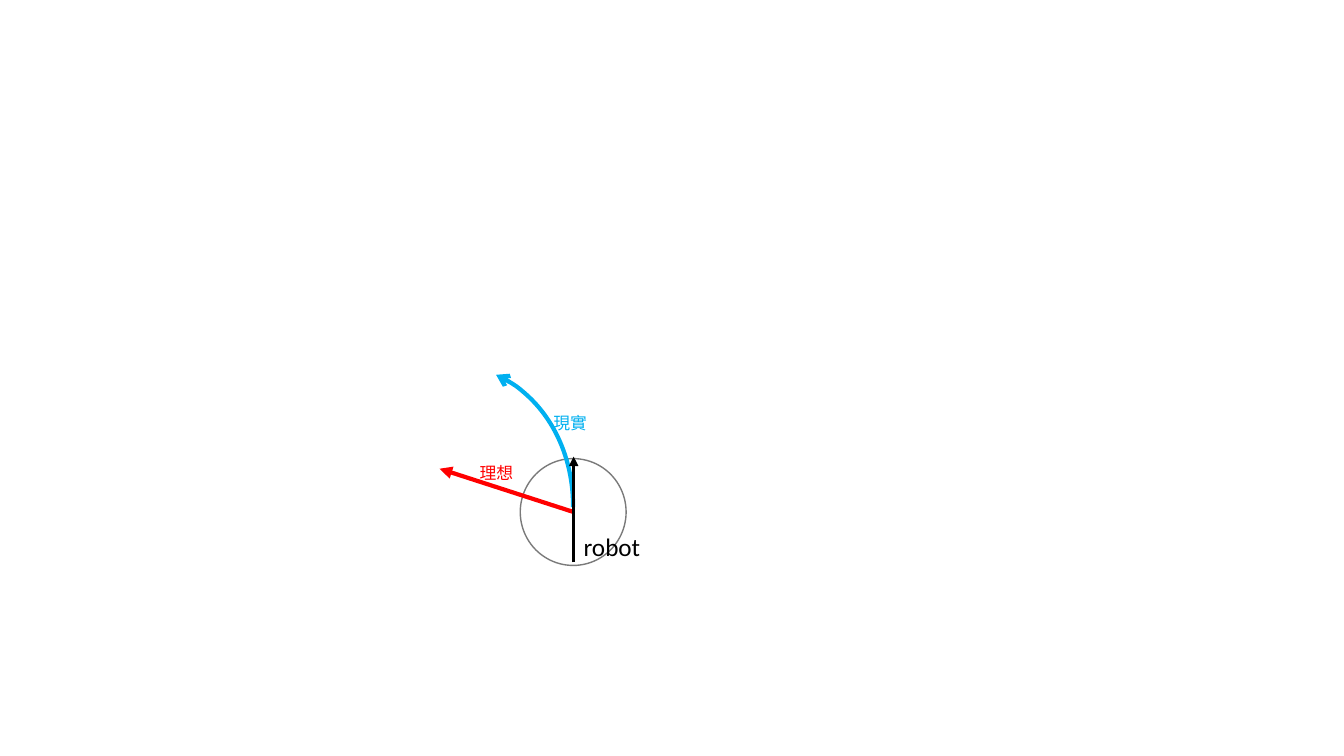
from dataclasses import dataclass

from lxml import etree
from pptx import Presentation
from pptx.dml.color import RGBColor
from pptx.dml.line import LineFormat
from pptx.enum.shapes import MSO_CONNECTOR, MSO_SHAPE
from pptx.enum.text import MSO_AUTO_SIZE
from pptx.oxml.ns import qn
from pptx.slide import Slide
from pptx.util import Inches, Pt

STRAIGHT = MSO_CONNECTOR.STRAIGHT
ELLIPSE = MSO_SHAPE.OVAL
ARC = MSO_SHAPE.ARC
FIT_SHAPE = MSO_AUTO_SIZE.SHAPE_TO_FIT_TEXT

WHITE = RGBColor(0xFF, 0xFF, 0xFF)
BLACK = RGBColor(0x00, 0x00, 0x00)
GRAY = RGBColor(0x7A, 0x7A, 0x7A)
RED = RGBColor(0xFF, 0x00, 0x00)
BLUE = RGBColor(0x00, 0xB0, 0xF0)

LATIN_FONT = "Calibri"
CHINESE_FONT = "Noto Sans CJK SC"


@dataclass(frozen=True)
class Heading:
    start: tuple[float, float]
    end: tuple[float, float]
    color: RGBColor
    weight: float


@dataclass(frozen=True)
class Label:
    text: str
    box: tuple[float, float, float, float]
    font: str
    size: float
    color: RGBColor


IDEAL_HEADING = Heading((5.69, 5.08), (4.36, 4.65), RED, 3)
ROBOT_HEADING = Heading((5.69, 5.58), (5.69, 4.53), BLACK, 2.25)

LABELS = [
    Label("robot", (5.69, 5.22, 0.87, 0.4), LATIN_FONT, 18, BLACK),
    Label("理想", (4.66, 4.54, 0.84, 0.3), CHINESE_FONT, 12, RED),
    Label("現實", (5.39, 4.05, 0.6, 0.3), CHINESE_FONT, 12, BLUE),
]


def style_line(line: LineFormat, color: RGBColor, weight: float) -> None:
    line.color.rgb = color
    line.width = Pt(weight)


def add_arrowhead(line: LineFormat, end: str, kind: str) -> None:
    etree.SubElement(line._get_or_add_ln(), qn(f"a:{end}"), type=kind)


def draw_robot_body(slide: Slide) -> None:
    body = slide.shapes.add_shape(
        ELLIPSE, Inches(5.16), Inches(4.55), Inches(1.05), Inches(1.06)
    )
    body.shadow.inherit = False
    body.fill.solid()
    body.fill.fore_color.rgb = WHITE
    style_line(body.line, GRAY, 1)


def draw_heading(slide: Slide, heading: Heading) -> None:
    points = [Inches(value) for value in heading.start + heading.end]
    arrow = slide.shapes.add_connector(STRAIGHT, *points)
    style_line(arrow.line, heading.color, heading.weight)
    add_arrowhead(arrow.line, "tailEnd", "triangle")
    etree.SubElement(arrow._element.spPr, qn("a:effectLst"))


def draw_actual_path(slide: Slide) -> None:
    path_arc = slide.shapes.add_shape(
        ARC, Inches(3.17), Inches(3.62), Inches(2.51), Inches(2.91)
    )
    path_arc.rotation = 7.7
    path_arc.adjustments[0] = 169.42
    path_arc.adjustments[1] = 210.22
    path_arc.shadow.inherit = False
    path_arc.fill.background()
    style_line(path_arc.line, BLUE, 3)
    add_arrowhead(path_arc.line, "headEnd", "arrow")


def add_text(
    slide: Slide,
    text: str,
    *,
    box: tuple[float, float, float, float],
    font: str,
    size: float,
    color: RGBColor,
) -> None:
    frame = slide.shapes.add_textbox(*[Inches(value) for value in box]).text_frame
    frame.word_wrap = True
    frame.auto_size = FIT_SHAPE
    run = frame.paragraphs[0].add_run()
    run.text = text
    run.font.name = font
    run.font.size = Pt(size)
    run.font.color.rgb = color
    etree.SubElement(run.font._element, qn("a:ea"), typeface=font)


def main() -> None:
    presentation = Presentation()
    presentation.slide_width = Inches(13.33)
    presentation.slide_height = Inches(7.5)
    slide = presentation.slides.add_slide(presentation.slide_layouts[6])

    draw_robot_body(slide)
    draw_heading(slide, IDEAL_HEADING)
    draw_actual_path(slide)
    draw_heading(slide, ROBOT_HEADING)
    for label in LABELS:
        add_text(
            slide,
            label.text,
            box=label.box,
            font=label.font,
            size=label.size,
            color=label.color,
        )

    presentation.save("out.pptx")


if __name__ == "__main__":
    main()
